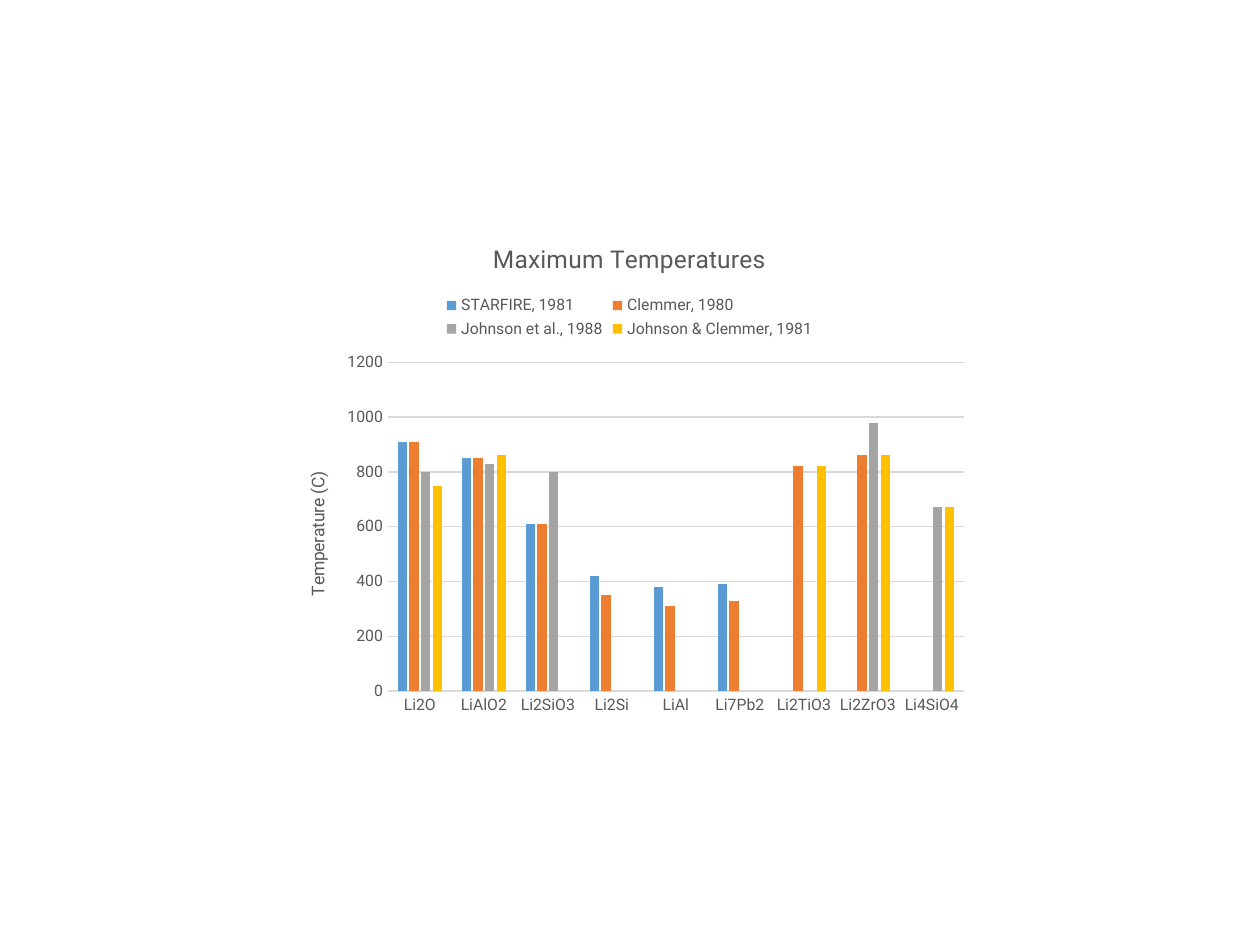
import pptx
import pptx.chart.data
import pptx.dml.color
import pptx.enum.chart
import pptx.util
from pptx.util import Inches

FONT = "Roboto"
COLORS = {"text": "595959", "line": "D9D9D9"}
MATERIALS = ["Li2O", "LiAlO2", "Li2SiO3", "Li2Si", "LiAl", "Li7Pb2", "Li2TiO3", "Li2ZrO3", "Li4SiO4"]
STUDIES = [
    ("STARFIRE, 1981", "5B9BD5", [910, 850, 610, 420, 380, 390, None, None, None]),
    ("Clemmer, 1980", "ED7D31", [910, 850, 610, 350, 310, 330, 820, 860, None]),
    ("Johnson et al., 1988", "A5A5A5", [800, 830, 800, None, None, None, None, 980, 670]),
    ("Johnson & Clemmer, 1981", "FFC000", [750, 860, None, None, None, None, 820, 860, 670]),
]


def rgb(value):
    """Return the colour for a hex string."""
    return pptx.dml.color.RGBColor.from_string(value)


def style_font(font, size):
    """Give chart text its typeface, size and colour."""
    font.name = FONT
    font.size = pptx.util.Pt(size)
    font.bold = False
    font.color.rgb = rgb(COLORS["text"])


def style_line(line):
    """Draw a thin grey chart line."""
    line.color.rgb = rgb(COLORS["line"])
    line.width = pptx.util.Pt(0.75)


def write_title(holder, text, *, size):
    """Write the title of a chart or an axis."""
    frame = holder.text_frame
    frame.text = text
    style_font(frame.paragraphs[0].runs[0].font, size)


def style_axes(chart):
    """Format both axes and the gridlines."""
    for axis in (chart.category_axis, chart.value_axis):
        axis.major_tick_mark = pptx.enum.chart.XL_TICK_MARK.NONE
        axis.minor_tick_mark = pptx.enum.chart.XL_TICK_MARK.NONE
        style_font(axis.tick_labels.font, 9)
    style_line(chart.category_axis.format.line)
    chart.value_axis.format.line.fill.background()
    chart.value_axis.has_major_gridlines = True
    style_line(chart.value_axis.major_gridlines.format.line)
    write_title(chart.value_axis.axis_title, "Temperature (C)", size=10)


def add_temperature_chart(page, left, top, width, height):
    """Place the column chart of maximum temperatures in the given box."""
    data = pptx.chart.data.CategoryChartData()
    data.categories = MATERIALS
    for name, _, values in STUDIES:
        data.add_series(name, values)
    kind = pptx.enum.chart.XL_CHART_TYPE.COLUMN_CLUSTERED
    chart = page.shapes.add_chart(kind, left, top, width, height, data).chart
    style_font(chart.font, 10)
    write_title(chart.chart_title, "Maximum Temperatures", size=14)
    chart.chart_title.include_in_layout = False
    chart.has_legend = True
    chart.legend.position = pptx.enum.chart.XL_LEGEND_POSITION.TOP
    chart.legend.include_in_layout = False
    style_font(chart.legend.font, 9)
    style_axes(chart)
    plot = chart.plots[0]
    plot.gap_width = 219
    plot.overlap = -27
    plot.vary_by_categories = False
    for series, (_, color, _) in zip(plot.series, STUDIES):
        series.invert_if_negative = False
        series.format.fill.solid()
        series.format.fill.fore_color.rgb = rgb(color)


def main():
    """Build and save the slide."""
    deck = pptx.Presentation()
    deck.slide_width = Inches(10)
    deck.slide_height = Inches(7.5)
    page = deck.slides.add_slide(deck.slide_layouts[6])
    add_temperature_chart(page, Inches(2.23), Inches(1.75), Inches(5.53), Inches(4))
    deck.save("out.pptx")


if __name__ == "__main__":
    main()
